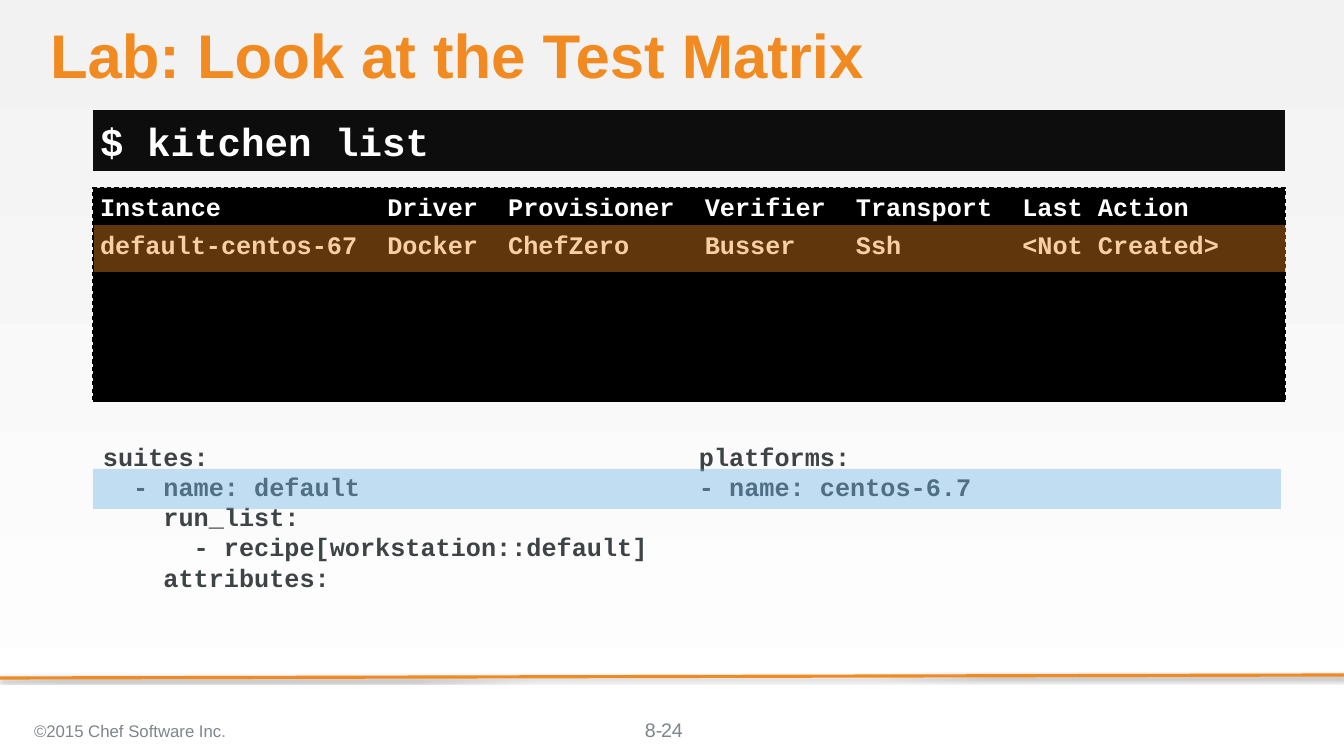
import dataclasses

import pptx
import pptx.dml.color
import pptx.enum.dml
import pptx.enum.shapes
import pptx.enum.text
import pptx.oxml
import pptx.oxml.ns
import pptx.util

PX = 914400 / 75.6
ANCHOR = pptx.enum.text.MSO_ANCHOR
ALIGN = pptx.enum.text.PP_ALIGN
NAMESPACE = pptx.oxml.ns.nsdecls("a")


@dataclasses.dataclass(frozen=True)
class Theme:
    orange: str = "F18B21"
    blue: str = "6BB2E2"
    black: str = "000000"
    console: str = "0D0D0D"
    white: str = "FFFFFF"
    backdrop: str = "F2F2F2"
    code: str = "3E4346"
    footer: str = "7D868C"
    period: str = "929494"
    sans: str = "Arial"
    mono: str = "Courier New"
    title_size: float = 58.7
    command_size: float = 37.3
    code_size: float = 24
    number_size: float = 18.7
    footer_size: float = 16


def px(value):
    return pptx.util.Emu(round(value * PX))


def rgb(value):
    return pptx.dml.color.RGBColor.from_string(value)


def xml(markup):
    return pptx.oxml.parse_xml(markup.replace(">", f" {NAMESPACE}>", 1))


def write_text(frame, paragraphs, *, size, color, font, bold=False, align=ALIGN.LEFT,
               anchor=ANCHOR.TOP, insets=(0, 0, 0, 0), before=0, spacing=None,
               columns=(), reset_list=False):
    frame.word_wrap = True
    frame.auto_size = pptx.enum.text.MSO_AUTO_SIZE.NONE
    frame.vertical_anchor = anchor
    frame.margin_left, frame.margin_top, frame.margin_right, frame.margin_bottom = map(px, insets)
    for index, runs in enumerate(paragraphs):
        paragraph = frame.add_paragraph() if index else frame.paragraphs[0]
        properties = paragraph._p.get_or_add_pPr()
        if reset_list:
            properties.set("marL", "0")
            properties.set("indent", "0")
            properties.append(xml("<a:buNone></a:buNone>"))
        if columns:
            stops = "".join(
                f'<a:tab pos="{pptx.util.Pt(column * size * 0.6)}" algn="l"/>' for column in columns)
            properties.append(xml(f"<a:tabLst>{stops}</a:tabLst>"))
        paragraph.alignment = align
        paragraph.space_before = pptx.util.Pt(before if index else 0)
        paragraph.line_spacing = spacing
        for text, run_color in [(runs, color)] if isinstance(runs, str) else runs:
            run = paragraph.add_run()
            run.text = text
            run.font.size = pptx.util.Pt(size)
            run.font.name = font
            run.font.bold = bold
            run.font.color.rgb = rgb(run_color)


class SlideBuilder:
    def __init__(self, slide, theme):
        self.slide = slide
        self.theme = theme

    def background(self):
        fill = self.slide.background.fill
        fill.gradient()
        fill.gradient_angle = 270
        for stop, color in zip(fill.gradient_stops, (self.theme.backdrop, self.theme.white)):
            stop.color.rgb = rgb(color)
        fill.gradient_stops[0].position = 0
        fill.gradient_stops[1].position = 1

    def placeholder(self, index, box, paragraphs, fill=None, **style):
        shape = self.slide.placeholders[index]
        shape.left, shape.top, shape.width, shape.height = map(px, box)
        if fill:
            shape.fill.solid()
            shape.fill.fore_color.rgb = rgb(fill)
        write_text(shape.text_frame, paragraphs, reset_list=True, **style)

    def text(self, box, paragraphs, **style):
        shape = self.slide.shapes.add_textbox(*map(px, box))
        write_text(shape.text_frame, paragraphs, **style)
        return shape

    def console(self, box, paragraphs, **style):
        shape = self.text(box, paragraphs, **style)
        shape.fill.solid()
        shape.fill.fore_color.rgb = rgb(self.theme.black)
        shape.line.color.rgb = rgb(self.theme.black)
        shape.line.width = pptx.util.Pt(1)
        shape.line.dash_style = pptx.enum.dml.MSO_LINE.DASH

    def highlight(self, box, color):
        shape = self.slide.shapes.add_shape(
            pptx.enum.shapes.MSO_SHAPE.RECTANGLE, *map(px, box))
        shape.shadow.inherit = False
        shape.fill.solid()
        shape.fill.fore_color.rgb = rgb(color)
        shape.line.fill.background()
        fill_color = shape._element.spPr.find(".//" + pptx.oxml.ns.qn("a:srgbClr"))
        fill_color.append(xml('<a:alpha val="40000"></a:alpha>'))

    def rule(self, start, end):
        line = self.slide.shapes.add_connector(
            pptx.enum.shapes.MSO_CONNECTOR.STRAIGHT, *map(px, start + end))
        line.line.color.rgb = rgb(self.theme.orange)
        line.line.width = pptx.util.Pt(3)
        line._element.spPr.append(xml(
            '<a:effectLst><a:outerShdw blurRad="39370" dist="22860" dir="5400000" rotWithShape="0">'
            f'<a:srgbClr val="{self.theme.black}"><a:alpha val="35000"/></a:srgbClr>'
            "</a:outerShdw></a:effectLst>"))


def main():
    theme = Theme()
    presentation = pptx.Presentation()
    presentation.slide_width = px(1344)
    presentation.slide_height = px(756)
    title_and_content = presentation.slide_layouts[1]
    builder = SlideBuilder(presentation.slides.add_slide(title_and_content), theme)
    builder.background()
    builder.rule((1344, 675), (0, 678))

    code = dict(size=theme.code_size, font=theme.mono, bold=True)
    builder.placeholder(0, (50, 25, 1235, 69), ["Lab: Look at the Test Matrix"],
                        size=theme.title_size, color=theme.orange, font=theme.sans,
                        bold=True, spacing=0.9)
    builder.placeholder(1, (93, 110, 1192, 61), ["$ kitchen list"], fill=theme.console,
                        size=theme.command_size, color=theme.white, font=theme.mono,
                        bold=True, anchor=ANCHOR.MIDDLE, insets=(7, 0, 0, 0))
    matrix = [
        ("Instance", "Driver", "Provisioner", "Verifier", "Transport", "Last Action"),
        ("default-centos-67", "Docker", "ChefZero", "Busser", "Ssh", "<Not Created>"),
    ]
    builder.console((93, 188, 1192, 214), ["\t".join(row) for row in matrix],
                    color=theme.white, before=8, insets=(7, 3, 7, 3),
                    columns=(19, 27, 40, 50, 61), **code)
    builder.highlight((94, 225, 1192, 47), theme.orange)

    suites = ["suites:", "  - name: default", "    run_list:",
              "      - recipe[workstation::default]", "    attributes:"]
    platforms = ["platforms:", "- name: centos-6.7"]
    for left, lines in ((93, suites), (689, platforms)):
        builder.text((left, 431, 596, 225), lines, color=theme.code,
                     insets=(10, 10, 10, 10), **code)
    for left in (93, 687):
        builder.highlight((left, 469, 594, 40), theme.blue)

    footer = dict(color=theme.footer, font=theme.sans)
    builder.text((26, 710, 470, 42),
                 [[("©2015 Chef Software Inc", theme.footer), (".", theme.period)]],
                 size=theme.footer_size, anchor=ANCHOR.MIDDLE, insets=(8, 4, 8, 4), **footer)
    builder.text((645, 718, 60, 23), ["8-"], size=theme.number_size, **footer)
    builder.text((521, 710, 302, 40), ["24"], size=theme.number_size,
                 anchor=ANCHOR.MIDDLE, align=ALIGN.CENTER, **footer)
    presentation.save("out.pptx")


if __name__ == "__main__":
    main()
